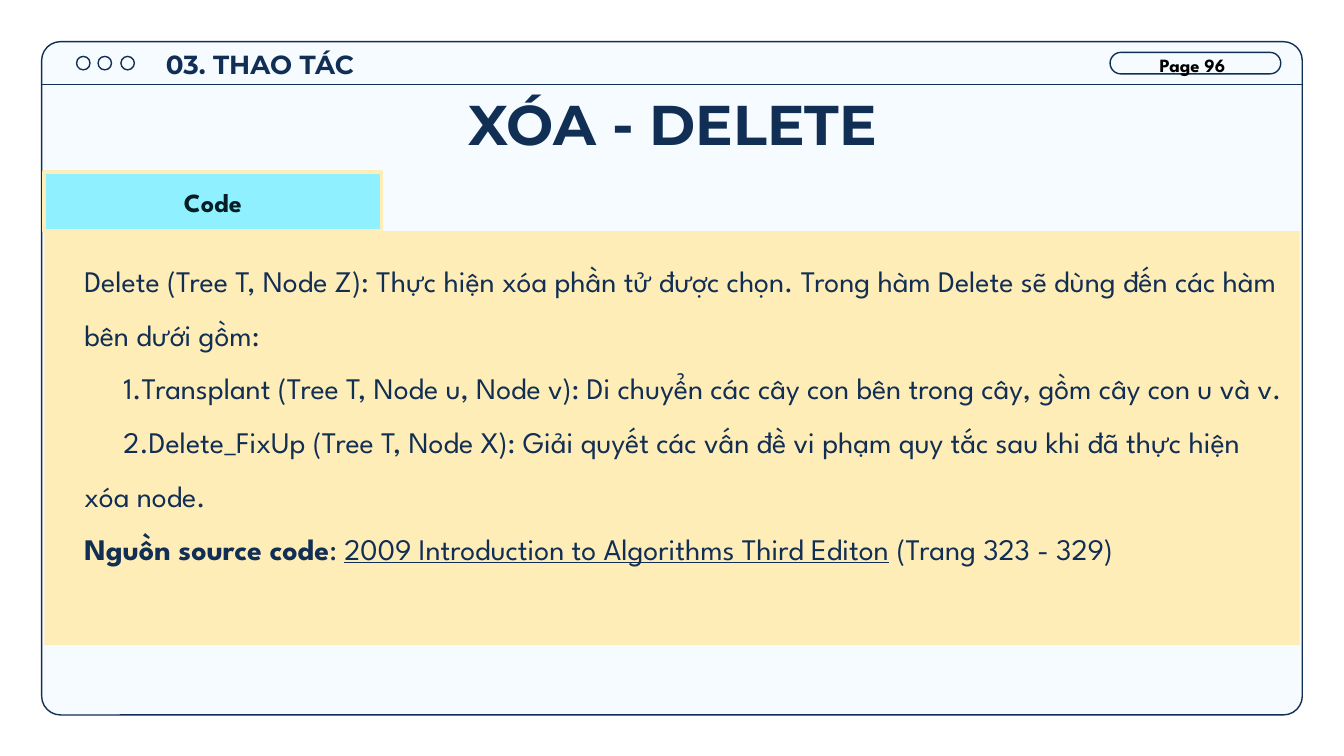
"""Build the slide that explains the tree delete operation."""
from lxml import etree
from pptx import Presentation
from pptx import util as u
from pptx.dml.color import RGBColor
from pptx.enum import shapes, text
from pptx.oxml import ns

COLORS = {"navy": "112E54", "paper": "F5FBFF", "cream": "FFEDB8",
          "cyan": "8FF0FF", "ink": "051D25", "black": "000000"}
HEAD, BODY = "Montserrat", "League Spartan"
KIND = shapes.MSO_SHAPE


def color(name):
    return RGBColor.from_string(COLORS[name])


def box(at):
    return [u.Inches(v) for v in at]


def add_shape(s, kind, at, fill=None, line=None, width=0.75, radius=None):
    sp = s.shapes.add_shape(kind, *box(at))
    sp.shadow.inherit = False
    if radius is not None:
        sp.adjustments[0] = radius
    if fill:
        sp.fill.solid()
        sp.fill.fore_color.rgb = color(fill)
    else:
        sp.fill.background()
    if line:
        sp.line.color.rgb = color(line)
        sp.line.width = u.Pt(width)
    else:
        sp.line.fill.background()
    return sp


def add_rule(s, x1, x2, y):
    c = s.shapes.add_connector(shapes.MSO_CONNECTOR.STRAIGHT, *box((x1, y, x2, y)))
    c.line.color.rgb = color("navy")
    c.line.width = u.Pt(0.75)
    etree.SubElement(c._element.spPr, ns.qn("a:effectLst"))


def style(r, font, size, ink, bold=False, underline=False):
    r.font.name, r.font.size = font, u.Pt(size)
    r.font.bold, r.font.underline = bold, underline
    r.font.color.rgb = color(ink)


def set_label(sp, label, font, size, ink, align=text.PP_ALIGN.CENTER):
    sp.text_frame.text = label
    p = sp.text_frame.paragraphs[0]
    p.alignment = align
    style(p.runs[0], font, size, ink, bold=True)


def add_label(s, at, label, font, size, ink, inset=0.1, align=text.PP_ALIGN.CENTER):
    tb = s.shapes.add_textbox(*box(at))
    tf = tb.text_frame
    tf.word_wrap = True
    tf.margin_top = tf.margin_bottom = u.Inches(inset)
    set_label(tb, label, font, size, ink, align)


def set_indent(p, numbered):
    pPr = p._p.get_or_add_pPr()
    pPr.set("marL", str(u.Inches(0.2)))
    pPr.set("indent", str(u.Inches(0.29 if numbered else 0)))
    if numbered:
        clr = etree.SubElement(pPr, ns.qn("a:buClr"))
        etree.SubElement(clr, ns.qn("a:srgbClr"), val=COLORS["navy"])
        etree.SubElement(pPr, ns.qn("a:buAutoNum"), type="arabicPeriod")
    else:
        etree.SubElement(pPr, ns.qn("a:buNone"))


def add_body(s, at, paragraphs):
    sp = add_shape(s, KIND.RECTANGLE, at, "cream")
    tf = sp.text_frame
    tf.word_wrap = True
    tf.vertical_anchor = text.MSO_ANCHOR.TOP
    tf.margin_top = tf.margin_bottom = u.Inches(0.1)
    for i, (numbered, runs) in enumerate(paragraphs):
        p = tf.add_paragraph() if i else tf.paragraphs[0]
        set_indent(p, numbered)
        p.alignment = text.PP_ALIGN.LEFT
        p.line_spacing = 1.5
        for words, *marks in runs:
            r = p.add_run()
            r.text = words
            style(r, BODY, 16, "navy", "bold" in marks, "underline" in marks)


def add_window(s):
    add_shape(s, KIND.ROUNDED_RECTANGLE, (0.31, 0.31, 9.38, 5.01), "paper", "navy", radius=0.028)
    for x in (0.57, 0.73, 0.9):
        add_shape(s, KIND.OVAL, (x, 0.42, 0.1, 0.1), line="navy")
    add_shape(s, KIND.ROUNDED_RECTANGLE, (8.26, 0.39, 1.27, 0.16), line="navy", radius=0.5)
    add_rule(s, 0.31, 9.69, 0.63)


def main():
    prs = Presentation()
    prs.slide_width, prs.slide_height = u.Inches(10), u.Inches(10 * 9 / 16)
    s = prs.slides.add_slide(prs.slide_layouts[6])
    add_window(s)
    add_label(s, (0.79, 0.57, 8.43, 0.63), "XÓA - DELETE", HEAD, 30, "navy")
    add_body(s, (0.33, 1.72, 9.34, 3.08), [
        (False, [("Delete (Tree T, Node Z): Thực hiện xóa phần tử được chọn. "
                  "Trong hàm Delete sẽ dùng đến các hàm bên dưới gồm:",)]),
        (True, [("Transplant (Tree T, Node u, Node v): Di chuyển các cây con "
                 "bên trong cây, gồm cây con u và v.",)]),
        (True, [("Delete_FixUp (Tree T, Node X): Giải quyết các vấn đề vi phạm "
                 "quy tắc sau khi đã thực hiện xóa node.",)]),
        (False, [("Nguồn source code", "bold"), (": ",),
                 ("2009 Introduction to Algorithms Third Editon", "underline"),
                 (" (Trang 323 - 329)",)]),
    ])
    add_label(s, (1.07, 0.26, 1.73, 0.46), "03. THAO TÁC", HEAD, 14, "navy")
    tab = add_shape(s, KIND.RECTANGLE, (0.33, 1.28, 2.51, 0.44), "cyan", "cream", 2)
    set_label(tab, "Code", BODY, 14, "ink")
    add_label(s, (8.53, 0.35, 0.75, 0.27), "Page 96", BODY, 10, "black", 0.05, text.PP_ALIGN.LEFT)
    prs.save("out.pptx")


if __name__ == "__main__":
    main()
